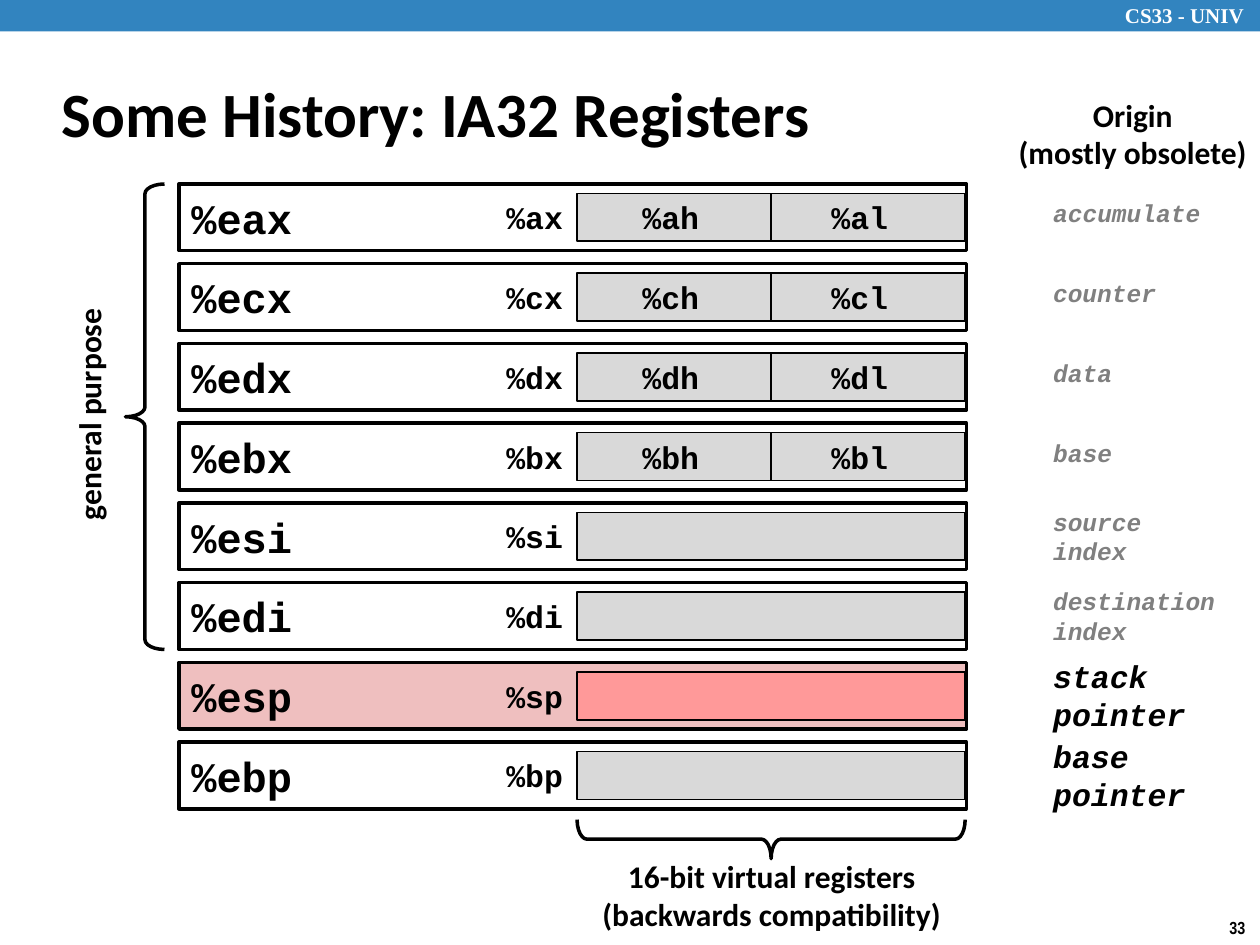
from dataclasses import dataclass
from typing import NamedTuple

from lxml.etree import SubElement
from pptx import Presentation
from pptx.dml.color import RGBColor
from pptx.enum.shapes import MSO_CONNECTOR as Link, MSO_SHAPE as Shape
from pptx.enum.text import MSO_ANCHOR as Anchor, MSO_AUTO_SIZE as Fit, PP_ALIGN as Align
from pptx.oxml.ns import qn
from pptx.util import Inches, Pt


@dataclass(frozen=True)
class Theme:
    ink: str = "000000"
    paper: str = "FFFFFF"
    band: str = "3284BF"
    muted: str = "808080"
    half: str = "D9D9D9"
    stack: str = "EFBFBF"
    stack_half: str = "FF9999"
    code: str = "Courier New"
    sans: str = "Calibri"
    title_size: int = 36
    name_size: int = 24
    label_size: int = 18
    origin_size: int = 14
    header_size: int = 12
    number_size: int = 10


class Box(NamedTuple):
    left: float
    top: float
    width: float
    height: float

    def lengths(self) -> list:
        return [Inches(value) for value in self]


class Register(NamedTuple):
    name: str
    low: str
    origin: str
    bytes: tuple = ()
    is_key: bool = False
    fill: str = Theme.paper
    half_fill: str = Theme.half


REGISTERS = [
    Register("%eax", "%ax", "accumulate", ("%ah", "%al")),
    Register("%ecx", "%cx", "counter", ("%ch", "%cl")),
    Register("%edx", "%dx", "data", ("%dh", "%dl")),
    Register("%ebx", "%bx", "base", ("%bh", "%bl")),
    Register("%esi", "%si", "source\nindex"),
    Register("%edi", "%di", "destination\nindex"),
    Register("%esp", "%sp", "stack\npointer", is_key=True,
             fill=Theme.stack, half_fill=Theme.stack_half),
    Register("%ebp", "%bp", "base\npointer", is_key=True),
]
THEME = Theme()
WIDTH, HEIGHT = 10, 7.5
# Columns and rows of the register grid
NAME_LEFT, NAME_WIDTH = 1.42, 6.25
HALF_LEFT, HALF_WIDTH, HALF_HEIGHT = 4.58, 3.08, 0.38
LOW_LEFT, BYTE_LEFTS, ORIGIN_LEFT = 3.92, (5, 6.5), 8.26
LABEL_WIDTH, LABEL_HEIGHT = 0.65, 0.4
FIRST_ROW, LAST_ROW, ROW_HEIGHT = 1.46, 5.89, 0.53
PITCH = (LAST_ROW - FIRST_ROW) / (len(REGISTERS) - 1)
GENERAL_ROWS = 6
BRACE_DEPTH = 0.31


def row_top(row: int, height: float = ROW_HEIGHT) -> float:
    """Top of an item of this height, centred in the row."""
    return FIRST_ROW + row * PITCH + (ROW_HEIGHT - height) / 2


def write(shape, text: str, size: int, align=Align.LEFT, anchor=Anchor.TOP,
          wrap: bool = False, **font) -> None:
    frame = shape.text_frame
    frame.text = text
    layout = {"word_wrap": wrap, "auto_size": Fit.NONE, "vertical_anchor": anchor}
    for key, value in layout.items():
        setattr(frame, key, value)
    color = font.pop("color", THEME.ink)
    formats = {"name": THEME.sans, "bold": True, "size": Pt(size)} | font
    for para in frame.paragraphs:
        para.alignment = align
        for span in para.runs:
            for key, value in formats.items():
                setattr(span.font, key, value)
            span.font.color.rgb = RGBColor.from_string(color)


def add_label(page, box: Box, text: str, size: int = THEME.label_size,
              rotation: float = 0, **style) -> None:
    label = page.shapes.add_textbox(*box.lengths())
    label.rotation = rotation
    write(label, text, size, **style)


def add_outlined(page, kind, box: Box, fill: str | None, line: float):
    shape = page.shapes.add_shape(kind, *box.lengths())
    shape.shadow.inherit = False
    if fill:
        shape.fill.solid()
        shape.fill.fore_color.rgb = RGBColor.from_string(fill)
    else:
        shape.fill.background()
    if line:
        shape.line.width = Pt(line)
        shape.line.color.rgb = RGBColor.from_string(THEME.ink)
    else:
        shape.line.fill.background()
    return shape


def add_brace(page, center_x: float, center_y: float, span: float, rotation: int) -> None:
    box = Box(center_x - BRACE_DEPTH / 2, center_y - span / 2, BRACE_DEPTH, span)
    brace = add_outlined(page, Shape.RIGHT_BRACE, box, None, 2)
    brace.rotation = rotation
    brace.adjustments[0] = 0.25


def add_register(page, row: int, register: Register) -> None:
    bar = add_outlined(page, Shape.RECTANGLE,
                       Box(NAME_LEFT, row_top(row), NAME_WIDTH, ROW_HEIGHT),
                       register.fill, 2)
    write(bar, register.name, THEME.name_size, anchor=Anchor.MIDDLE, wrap=True,
          name=THEME.code)
    half = add_outlined(page, Shape.RECTANGLE,
                        Box(HALF_LEFT, row_top(row, HALF_HEIGHT), HALF_WIDTH, HALF_HEIGHT),
                        register.half_fill, 1)
    if register.bytes:
        add_divider(page, half)
    for left, text in zip((LOW_LEFT, *BYTE_LEFTS), (register.low, *register.bytes)):
        add_label(page, Box(left, row_top(row, LABEL_HEIGHT), LABEL_WIDTH, LABEL_HEIGHT),
                  text, name=THEME.code)
    add_origin(page, row, register)


def add_divider(page, half) -> None:
    """Line from top to bottom that splits a 16-bit half into two bytes."""
    middle = half.left + half.width // 2
    divider = page.shapes.add_connector(Link.STRAIGHT, middle, half.top,
                                        middle, half.top + half.height)
    divider.begin_connect(half, 0)
    divider.end_connect(half, 2)
    divider.line.width = Pt(1)
    divider.line.color.rgb = RGBColor.from_string(THEME.ink)
    SubElement(divider._element.spPr, qn("a:effectLst"))


def add_origin(page, row: int, register: Register) -> None:
    lines = register.origin.split("\n")
    size, color = ((THEME.label_size, THEME.ink) if register.is_key
                   else (THEME.origin_size, THEME.muted))
    width = 0.2 + max(map(len, lines)) * size * 0.6 / 72
    height = (0.71 if register.is_key else 0.57) if len(lines) > 1 else LABEL_HEIGHT
    add_label(page, Box(ORIGIN_LEFT, row_top(row, height), width, height),
              register.origin, size, name=THEME.code, italic=True, color=color)


def main() -> None:
    deck = Presentation()
    deck.slide_width, deck.slide_height = Inches(WIDTH), Inches(HEIGHT)
    page = deck.slides.add_slide(deck.slide_layouts[5])

    add_outlined(page, Shape.RECTANGLE, Box(0, 0, WIDTH, HEIGHT / 30), THEME.band, 0)
    add_label(page, Box(8.83, -0.03, 1.24, 0.3), "CS33 - UNIV", THEME.header_size,
              name="Times New Roman", color=THEME.paper)
    add_label(page, Box(9.66, 7.23, 0.34, 0.27), "33", THEME.number_size,
              name="Arial Narrow")

    title = page.shapes.title
    title.left, title.top, title.width, title.height = Box(0.39, 0.48, 8.3, 0.83).lengths()
    write(title, "Some History: IA32 Registers", THEME.title_size,
          anchor=Anchor.MIDDLE, wrap=True)

    for row, register in enumerate(REGISTERS):
        add_register(page, row, register)

    general_span = (GENERAL_ROWS - 1) * PITCH + ROW_HEIGHT
    add_brace(page, 1.15, FIRST_ROW + general_span / 2, general_span, 180)
    add_brace(page, HALF_LEFT + HALF_WIDTH / 2, 6.66, HALF_WIDTH, 90)
    add_label(page, Box(-0.24, 3.08, 1.89, LABEL_HEIGHT), "general purpose", rotation=270)
    add_label(page, Box(4.67, 6.75, 2.91, 0.71),
              "16-bit virtual registers\n(backwards compatibility)", align=Align.CENTER)
    add_label(page, Box(7.98, 0.71, 2.02, 0.71), "Origin\n(mostly obsolete)",
              align=Align.CENTER)
    deck.save("out.pptx")


if __name__ == "__main__":
    main()
